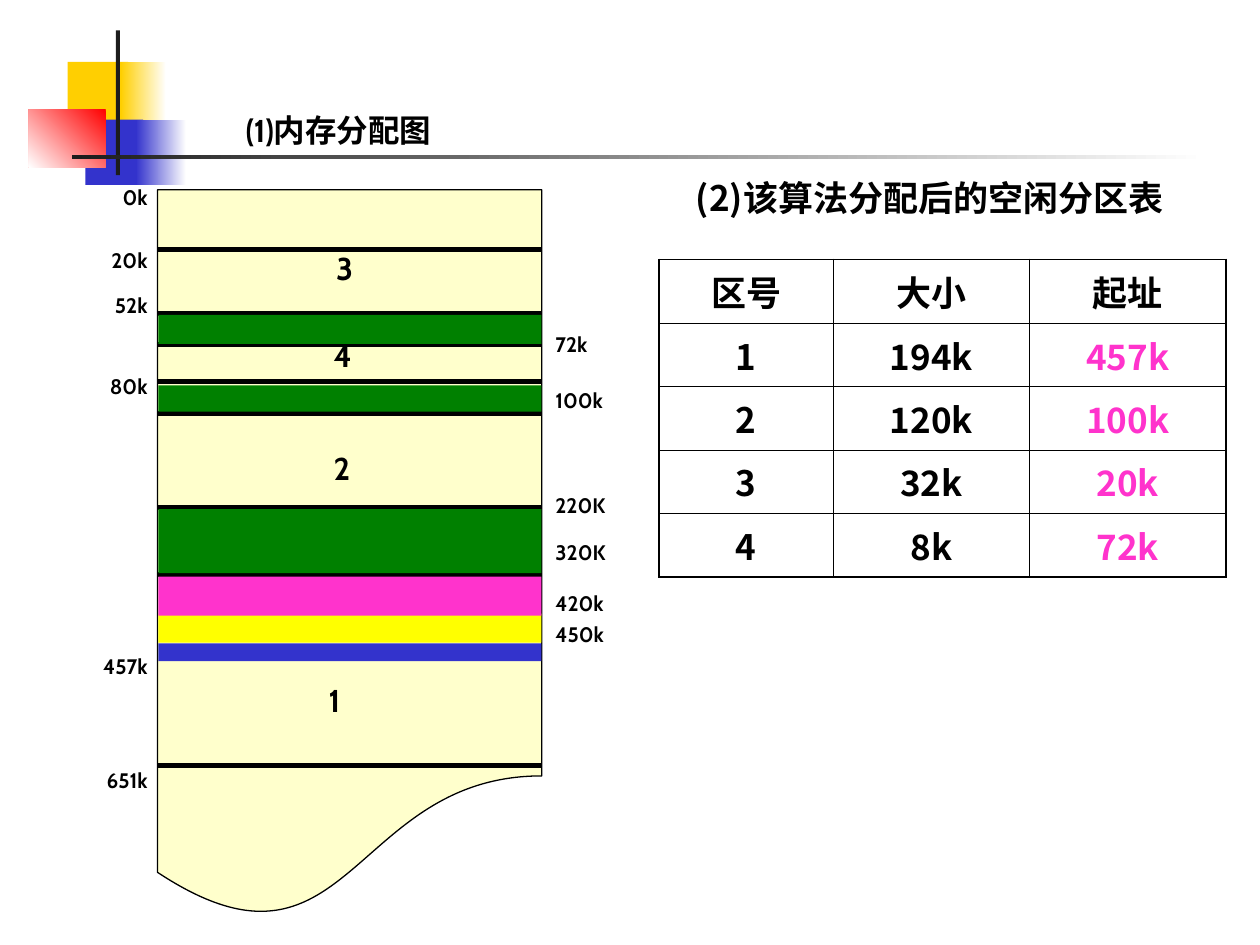
import pptx
import pptx.dml.color
import pptx.enum.shapes
import pptx.enum.text
import pptx.oxml
import pptx.oxml.ns
import pptx.util

Pt = pptx.util.Pt
SHAPES = pptx.enum.shapes.MSO_SHAPE
ALIGN = pptx.enum.text.PP_ALIGN
CJK_FONT = "Noto Sans CJK SC"
LABEL_FONT = "Cabin"
BLACK, WHITE, PINK, BLUE, GREEN = "000000", "FFFFFF", "FF33CC", "3333CC", "008000"
DARK, GOLD = "1C1C1C", "FFCF01"
LABEL_LINE = 14


def color(value):
    return pptx.dml.color.RGBColor.from_string(value)


def apply_format(target, values):
    for name, value in values.items():
        setattr(target, name, value)


def add_box(slide, kind, box, fill, outline=None):
    shape = slide.shapes.add_shape(kind, *map(Pt, box))
    shape.shadow.inherit = False
    shape.fill.solid()
    shape.fill.fore_color.rgb = color(fill)
    if outline:
        shape.line.color.rgb = color(outline)
        shape.line.width = Pt(0.75)
    else:
        shape.line.fill.background()
    return shape


def add_gradient_box(slide, box, start, end, angle):
    fill = add_box(slide, SHAPES.RECTANGLE, box, start).fill
    fill.gradient()
    fill.gradient_angle = angle
    for stop, value in zip(fill.gradient_stops, (start, end)):
        stop.color.rgb = color(value)


def add_rule(slide, left, right, y):
    rule = slide.shapes.add_connector(
        pptx.enum.shapes.MSO_CONNECTOR.STRAIGHT, Pt(left), Pt(y), Pt(right), Pt(y))
    rule.line.color.rgb = color(BLACK)
    rule.line.width = Pt(3)
    rule._element.spPr.append(pptx.oxml.parse_xml(
        f'<a:effectLst {pptx.oxml.ns.nsdecls("a")}/>'))


def add_run(paragraph, text, size, font_name, text_color=BLACK):
    run = paragraph.add_run()
    run.text = text
    apply_format(run.font, {"size": Pt(size), "bold": True, "name": font_name})
    run.font.color.rgb = color(text_color)
    run.font._element.append(pptx.oxml.parse_xml(
        f'<a:ea {pptx.oxml.ns.nsdecls("a")} typeface="{CJK_FONT}"/>'))


def add_text(slide, box, runs, size, align=ALIGN.LEFT, wrap=True):
    frame = slide.shapes.add_textbox(*map(Pt, box)).text_frame
    frame.word_wrap = wrap
    frame.paragraphs[0].alignment = align
    for text, font_name in runs:
        add_run(frame.paragraphs[0], text, size, font_name)


def draw_ornament(slide, box):
    left, top, width, height = box
    # Coloured squares, each fading out
    for x, y, solid_width, fade_x, fade_width, fill in (
            (22.3, 18, 34.5, 52.6, 26, GOLD), (32.4, 51, 33, 61.2, 28.8, BLUE)):
        add_box(slide, SHAPES.RECTANGLE, (left + x, top + y, solid_width, 37.4), fill)
        add_gradient_box(slide, (left + fade_x, top + y, fade_width, 37.4), WHITE, fill, 180)
    add_gradient_box(slide, (left, top + 45, 44, 33.2), "FF0000", WHITE, 225)
    # Crossing bars
    add_box(slide, SHAPES.RECTANGLE, (left + 49.8, top, 2.3, height), DARK)
    add_gradient_box(slide, (left + 24.5, top + 71.2, width - 24.5, 2.5), WHITE, DARK, 180)


def draw_addresses(slide, box, labels, align):
    """Stack the labels so that each is centred on its own height."""
    left, top, width, height = box
    frame = slide.shapes.add_textbox(*map(Pt, box)).text_frame
    frame.word_wrap = True
    frame.margin_top = Pt(labels[0][1] - LABEL_LINE / 2 - top)
    previous = None
    for text, center in labels:
        paragraph = frame.paragraphs[0] if previous is None else frame.add_paragraph()
        gap = 0 if previous is None else center - previous - LABEL_LINE
        apply_format(paragraph, {"alignment": align, "line_spacing": Pt(LABEL_LINE),
                                 "space_before": Pt(gap)})
        add_run(paragraph, text, 12, LABEL_FONT)
        previous = center


def draw_memory(slide, box):
    left, top, width, height = box
    add_box(slide, SHAPES.FLOWCHART_DOCUMENT, box, "FFFFCC", BLACK)
    # Partition boundaries
    for offset in (34, 70.5, 88.5, 109.5, 128, 181.4, 219.6, 329):
        add_rule(slide, left + 0.5, left + width - 0.5, top + offset)
    # Occupied partitions
    for offset, band_height, fill in (
            (71.5, 16.5, GREEN), (111.7, 15, GREEN), (182.4, 36.6, GREEN),
            (259.4, 0, GREEN), (242.2, 16.5, "FFFF00"), (221, 22.3, PINK),
            (259.2, 10.1, BLUE)):
        if band_height:
            add_box(slide, SHAPES.RECTANGLE,
                    (left + 0.5, top + offset, width - 0.8, band_height), fill)
    # Numbers of the free partitions
    for number, x, offset in (("3", 95, 30.3), ("4", 93.6, 80),
                              ("2", 93.6, 144.7), ("1", 90.7, 277.2)):
        add_text(slide, (left + x, top + offset, 24.5, 28.8),
                 [(number, LABEL_FONT)], 18, wrap=False)


def set_borders(cell, widths):
    properties = cell._tc.get_or_add_tcPr()
    for position, (side, width) in enumerate(widths.items()):
        properties.insert(position, pptx.oxml.parse_xml(
            f'<a:{side} {pptx.oxml.ns.nsdecls("a")} w="{int(Pt(width))}">'
            f'<a:solidFill><a:srgbClr val="{BLACK}"/></a:solidFill></a:{side}>'))


def draw_free_table(slide, box, rows):
    last_row, last_column = len(rows) - 1, len(rows[0]) - 1
    table = slide.shapes.add_table(len(rows), len(rows[0]), *map(Pt, box)).table
    apply_format(table, {"first_row": False, "horz_banding": False})
    for column, width in zip(table.columns, (99.9, 111.9, 112.2)):
        column.width = Pt(width)
    for row, values in enumerate(rows):
        for column, value in enumerate(values):
            cell = table.cell(row, column)
            cell.fill.background()
            paragraph = cell.text_frame.paragraphs[0]
            paragraph.alignment = ALIGN.CENTER
            is_address = row > 0 and column == last_column
            add_run(paragraph, value, 20, CJK_FONT, PINK if is_address else BLACK)
            outer = {"lnL": column == 0, "lnR": column == last_column,
                     "lnT": row == 0, "lnB": row == last_row}
            set_borders(cell, {side: 1.08 if edge else 0.45 for side, edge in outer.items()})


def main():
    presentation = pptx.Presentation()
    apply_format(presentation, {"slide_width": Pt(720), "slide_height": Pt(540)})
    slide = presentation.slides.add_slide(presentation.slide_layouts[6])

    draw_ornament(slide, (16.4, 17.3, 672.6, 82.8))

    # Free partition table and headings
    draw_free_table(slide, (376.5, 148.3, 324, 158.5), [
        ("区号", "大小", "起址"), ("1", "194k", "457k"), ("2", "120k", "100k"),
        ("3", "32k", "20k"), ("4", "8k", "72k")])
    add_text(slide, (351.4, 97.2, 360, 31.7),
             [("(2)该算法分配后的空闲分区表", CJK_FONT)], 20, ALIGN.CENTER)
    add_text(slide, (133.2, 59.8, 159.8, 28.8),
             [("(1)", LABEL_FONT), ("内存分配图", "Times New Roman")], 18)

    # Memory map with its addresses
    draw_addresses(slide, (0, 100, 91.4, 355.7), [
        ("0k", 112.6), ("20k", 148.6), ("52k", 174.3), ("80k", 221.1),
        ("457k", 381.1), ("651k", 445.7)], ALIGN.RIGHT)
    draw_memory(slide, (90, 108.5, 219.6, 417.6))
    draw_addresses(slide, (310.3, 135.4, 67, 252), [
        ("72k", 197.1), ("100k", 228.6), ("220K", 288.6), ("320K", 316),
        ("420k", 345.1), ("450k", 362.3)], ALIGN.LEFT)

    presentation.save("out.pptx")


if __name__ == "__main__":
    main()
